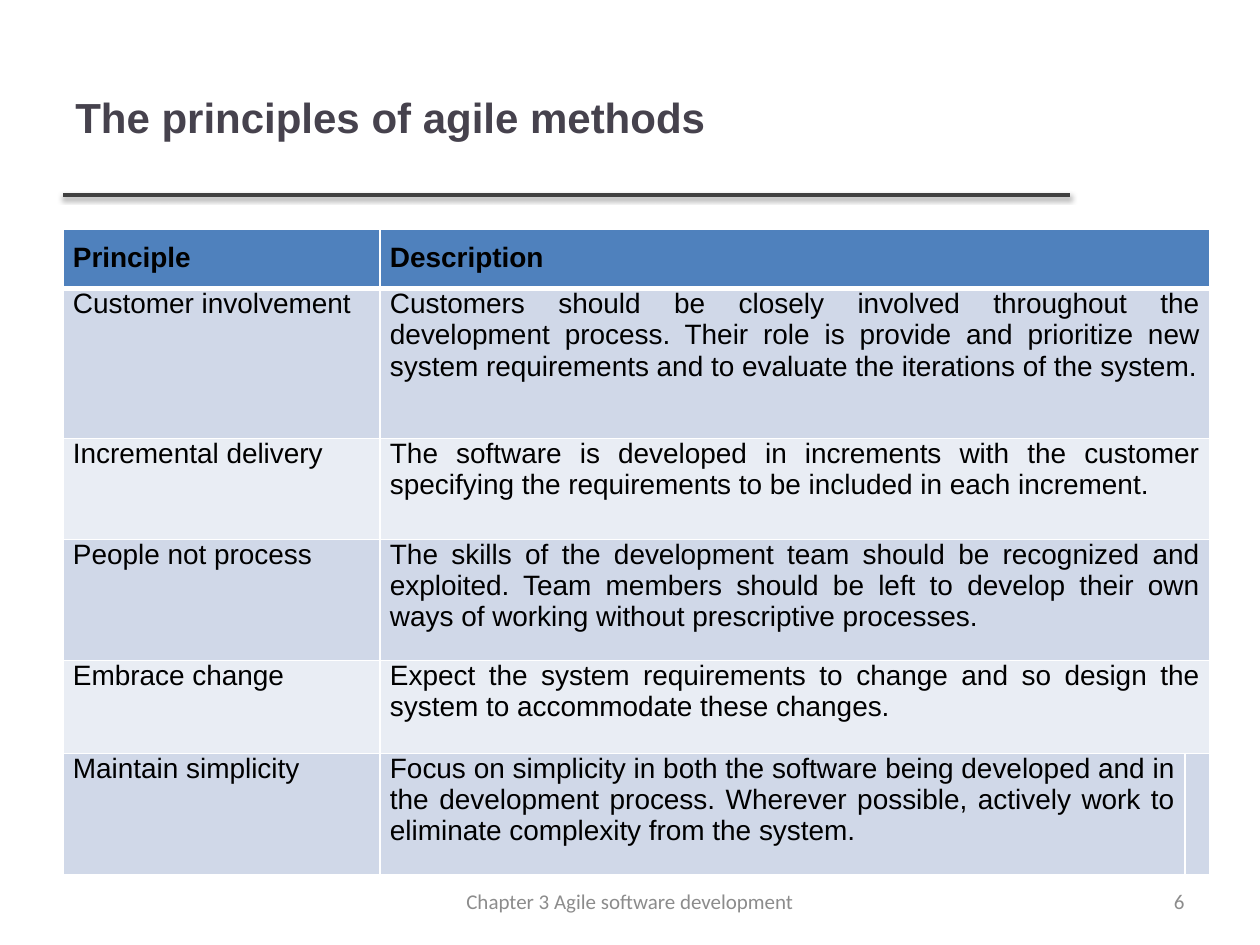
from lxml import etree
from pptx import Presentation, util as u
from pptx.dml.color import RGBColor
from pptx.enum import shapes, text
from pptx.oxml import parse_xml
from pptx.oxml.ns import nsdecls, qn

EMU_PER_PX = 914400 / 126
WHITE = RGBColor(0xFF, 0xFF, 0xFF)
BLACK = RGBColor(0, 0, 0)
TITLE_COLOR = RGBColor(0x46, 0x42, 0x4D)
RULE_COLOR = RGBColor(0x40, 0x40, 0x40)
FOOTER_COLOR = RGBColor(0x8C, 0x8C, 0x8C)
HEADER_FILL = RGBColor(0x4F, 0x81, 0xBD)
BAND_FILLS = [RGBColor(0xD0, 0xD8, 0xE8), RGBColor(0xE9, 0xED, 0xF4)]

ALIGN = text.PP_ALIGN
TITLE_FONT = {"name": "Arial", "size": u.Pt(24), "bold": True}
HEADER_FONT = {"name": "Arial", "size": u.Pt(16), "bold": True}
BODY_FONT = {**HEADER_FONT, "bold": False}
FOOTER_FONT = {"name": "Calibri", "size": u.Pt(12), "bold": False}

COLUMN_WIDTHS = [317, 805, 18]
ROWS = [
    (59, "Principle", "Description"),
    (150, "Customer involvement",
     "Customers should be closely involved throughout the development process. "
     "Their role is provide and prioritize new system requirements and to "
     "evaluate the iterations of the system."),
    (101, "Incremental delivery",
     "The software is developed in increments with the customer specifying "
     "the requirements to be included in each increment."),
    (121, "People not process",
     "The skills of the development team should be recognized and exploited. "
     "Team members should be left to develop their own ways of working without "
     "prescriptive processes."),
    (93, "Embrace change",
     "Expect the system requirements to change and so design the system to "
     "accommodate these changes."),
    (121, "Maintain simplicity",
     "Focus on simplicity in both the software being developed and in the "
     "development process. Wherever possible, actively work to eliminate "
     "complexity from the system."),
]


def px(length):
    return u.Emu(round(length * EMU_PER_PX))


def apply_format(target, values):
    for name, value in values.items():
        setattr(target, name, value)


def write_text(frame, words, font, color, alignment):
    paragraph = frame.paragraphs[0]
    paragraph.alignment = alignment
    run = paragraph.add_run()
    run.text = words
    apply_format(run.font, font)
    run.font.color.rgb = color


def add_label(slide, box, words, font, color, alignment):
    frame = slide.shapes.add_textbox(*map(px, box)).text_frame
    apply_format(frame, {"word_wrap": True,
                         "vertical_anchor": text.MSO_ANCHOR.MIDDLE})
    write_text(frame, words, font, color, alignment)


def add_title(slide, left, top, width, height):
    """Title above a shadowed rule along the bottom edge of the box."""
    bottom = top + height
    rule = slide.shapes.add_connector(
        shapes.MSO_CONNECTOR.STRAIGHT,
        *map(px, (left, bottom, left + width, bottom)))
    rule.line.color.rgb = RULE_COLOR
    rule.line.width = u.Pt(2)
    rule._element.spPr.append(parse_xml(
        f'<a:effectLst {nsdecls("a")}><a:outerShdw blurRad="39370" dist="20320" '
        'dir="5400000" rotWithShape="0"><a:srgbClr val="000000">'
        '<a:alpha val="38000"/></a:srgbClr></a:outerShdw></a:effectLst>'))
    add_label(slide, (left, top, width, height), "The principles of agile methods",
              TITLE_FONT, TITLE_COLOR, ALIGN.LEFT)


def set_borders(cell, top_points, bottom_points):
    properties = cell._tc.get_or_add_tcPr()
    widths = {"lnL": 1, "lnR": 1, "lnT": top_points, "lnB": bottom_points}
    for index, (tag, points) in enumerate(widths.items()):
        line = etree.Element(qn(f"a:{tag}"), w=str(u.Pt(points)))
        fill = etree.SubElement(line, qn("a:solidFill"))
        etree.SubElement(fill, qn("a:srgbClr"), val=str(WHITE))
        properties.insert(index, line)


def add_principles_table(slide, left, top, width, height):
    table = slide.shapes.add_table(len(ROWS), len(COLUMN_WIDTHS),
                                   *map(px, (left, top, width, height))).table
    for column, column_width in zip(table.columns, COLUMN_WIDTHS):
        column.width = px(column_width)
    last = len(ROWS) - 1
    for index, (row_height, *words) in enumerate(ROWS):
        header = index == 0
        table.rows[index].height = px(row_height)
        for cell in table.rows[index].cells:
            apply_format(cell, {"margin_left": px(10), "margin_right": px(10),
                                "margin_top": px(13 if header else 0),
                                "margin_bottom": px(13)})
            cell.fill.solid()
            cell.fill.fore_color.rgb = (HEADER_FILL if header
                                        else BAND_FILLS[(index - 1) % 2])
            set_borders(cell, 3 if index == 1 else 1, 3 if header else 1)
        for column, cell_words in enumerate(words):
            write_text(table.cell(index, column).text_frame, cell_words,
                       HEADER_FONT if header else BODY_FONT, BLACK, ALIGN.JUSTIFY)
        if index < last:
            table.cell(index, 1).merge(table.cell(index, 2))


def add_footer(slide, left, top, width, height):
    """Chapter name in the middle of the box, page number at its right end."""
    chapter_width, number_width = 400, 294
    chapter_left = left + (width - chapter_width) // 2
    add_label(slide, (chapter_left, top, chapter_width, height),
              "Chapter 3 Agile software development",
              FOOTER_FONT, FOOTER_COLOR, ALIGN.CENTER)
    add_label(slide, (left + width - number_width, top, number_width, height),
              "6", FOOTER_FONT, FOOTER_COLOR, ALIGN.RIGHT)


def main():
    presentation = Presentation()
    apply_format(presentation, {"slide_width": px(1260), "slide_height": px(945)})
    slide = presentation.slides.add_slide(presentation.slide_layouts[6])
    add_title(slide, 63, 38, 1007, 157)
    add_principles_table(slide, 63, 229, sum(COLUMN_WIDTHS),
                         sum(row[0] for row in ROWS))
    add_footer(slide, 63, 876, 1134, 50)
    presentation.save("out.pptx")


if __name__ == "__main__":
    main()
